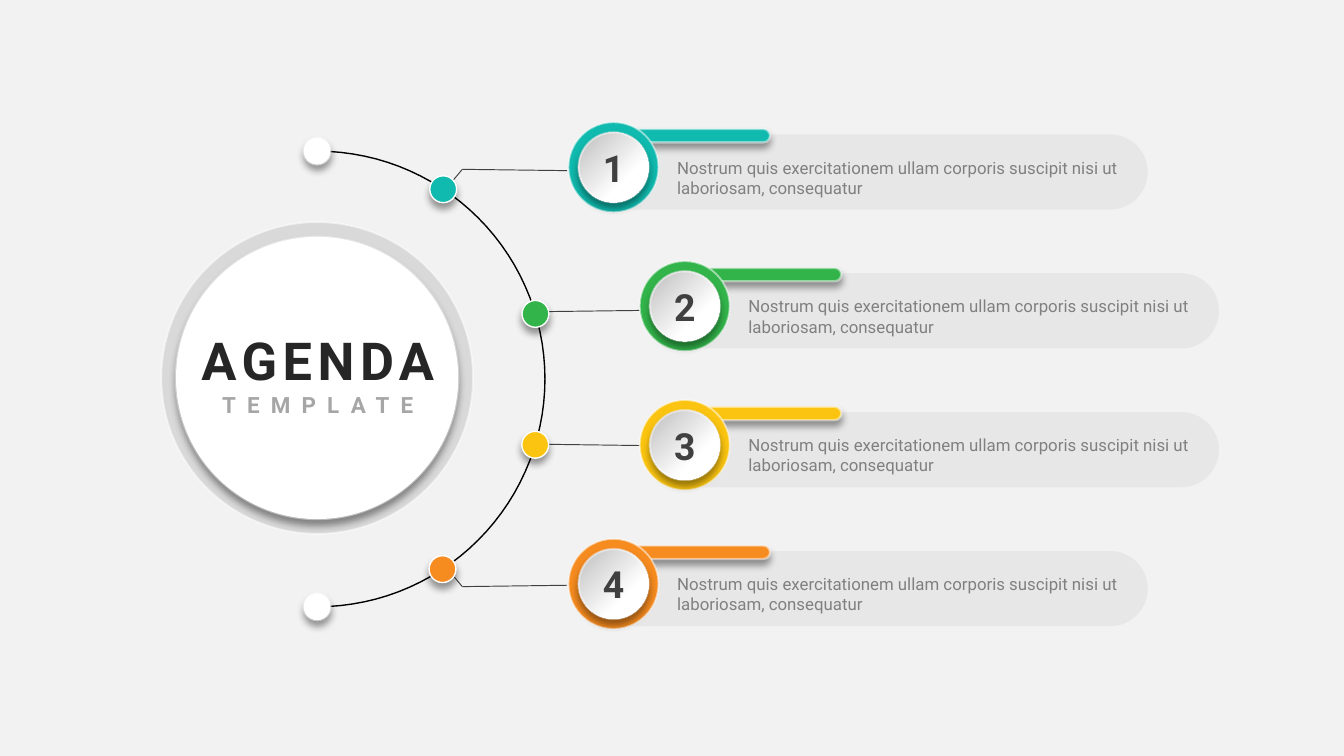
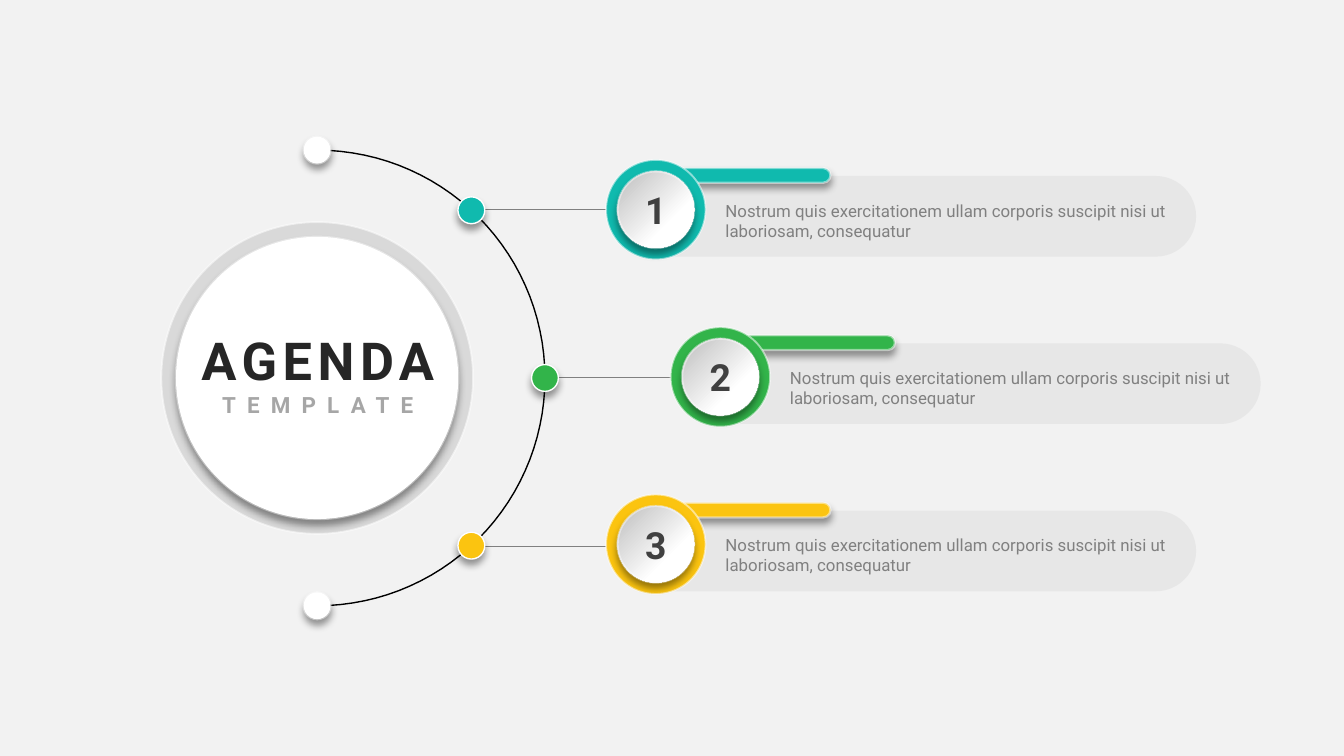
from dataclasses import dataclass
from math import cos, pi, radians, sin

from lxml.etree import SubElement
from pptx import Presentation
from pptx.dml.color import RGBColor
from pptx.enum.shapes import MSO_CONNECTOR as Link, MSO_SHAPE as Kind
from pptx.enum.text import MSO_ANCHOR as Anchor, MSO_AUTO_SIZE as Fit, PP_ALIGN as Align
from pptx.oxml.ns import qn
from pptx.util import Inches, Pt


@dataclass(frozen=True)
class Theme:
    font: str = "Roboto"
    back: str = "F2F2F2"
    white: str = "FFFFFF"
    black: str = "000000"
    rim: str = "D9D9D9"
    shade: str = "C7C7C7"
    title: str = "262626"
    sub: str = "A6A6A6"
    digit: str = "404040"
    note: str = "808080"
    accents: tuple = ("10BAAE", "32B44A", "FBC410", "F68B1F")
    big: int = 28
    mid: int = 20
    small: int = 12
    tiny: int = 9


@dataclass(frozen=True)
class Badge:
    """Sizes of one agenda item; boxes are relative to the ring's corner."""
    ring: float
    face: float
    pill: tuple
    bar: tuple
    note: tuple


@dataclass(frozen=True)
class Agenda:
    hub: tuple       # centre of the arc
    angles: tuple    # where the dots sit on the arc, in degrees
    lefts: tuple     # left edge of each ring
    top: float       # top of the first ring
    last: float      # top of the last ring
    badge: Badge
    leads: tuple     # points of each lead line
    ink: str


T = Theme()
W = 10
H = W * 9 / 16
MID = H / 2
RADIUS, DOT = 3.39 / 2, 0.2
NOTE = "Nostrum quis exercitationem ullam corporis suscipit nisi ut laboriosam, consequatur"


def rgb(code):
    return RGBColor.from_string(code)


def fade(node, pct):
    """Make the solid colour inside node partly transparent."""
    SubElement(node.find(".//" + qn("a:srgbClr")), qn("a:alpha"), val=str(pct * 1000))


def cast(shape):
    """Add the soft shadow that falls straight down."""
    fx = shape._element.spPr.find(qn("a:effectLst"))
    drop = SubElement(fx, qn("a:outerShdw"), blurRad=str(Pt(4)), dist=str(Pt(3)),
                      dir="5400000", algn="t", rotWithShape="0")
    SubElement(drop, qn("a:srgbClr"), val=T.black)
    fade(drop, 40)


def draw(slide, kind, box, fill, edge=0, alpha=100, lift=False):
    """Add a shape with a white edge of the given width and opacity."""
    shape = slide.shapes.add_shape(kind, *map(Inches, box))
    shape.shadow.inherit = False
    shape.fill.solid()
    shape.fill.fore_color.rgb = rgb(fill)
    if edge:
        shape.line.color.rgb = rgb(T.white)
        shape.line.width = Pt(edge)
        if alpha < 100:
            fade(shape._element.spPr.find(qn("a:ln")), alpha)
    else:
        shape.line.fill.background()
    if lift:
        cast(shape)
    return shape


def disc(slide, mid, size, *look, **more):
    x, y = mid
    return draw(slide, Kind.OVAL, (x - size / 2, y - size / 2, size, size), *look, **more)


def style(para, size, color, bold=False, align=None):
    para.alignment = align
    font = para.font
    font.name, font.size, font.bold = T.font, Pt(size), bold
    font.color.rgb = rgb(color)


def draw_arc(slide, hub):
    x, y = hub
    turns = [pi * i / 60 - pi / 2 for i in range(61)]
    spots = [(Inches(x + RADIUS * cos(t)), Inches(y + RADIUS * sin(t))) for t in turns]
    pen = slide.shapes.build_freeform(*spots[0])
    pen.add_line_segments(spots[1:], close=False)
    arc = pen.convert_to_shape()
    arc.shadow.inherit = False
    arc.fill.background()
    arc.line.color.rgb = rgb(T.black)
    arc.line.width = Pt(0.75)
    for end in (y - RADIUS, y + RADIUS):
        disc(slide, (x, end), DOT, T.white, 1.25, 42, lift=True)


def draw_hub(slide, mid):
    """Draw the big disc and set the slide title on it."""
    disc(slide, mid, 2.32, T.rim, 1, 52)
    plate = disc(slide, mid, 2.1, T.white, 1.25, 42, lift=True)
    title = slide.shapes.title
    plate._element.addnext(title._element)
    x, y = mid
    title.left, title.top = Inches(x - 1.19), Inches(y - 0.42)
    title.width, title.height = Inches(2.39), Inches(0.77)
    frame = title.text_frame
    frame.auto_size, frame.vertical_anchor = Fit.NONE, Anchor.TOP
    frame.word_wrap = True
    frame.text = "AGENDA\nTEMPLATE"
    looks = ((T.big, T.title, 3), (T.small, T.sub, 6))
    for para, (size, color, gap) in zip(frame.paragraphs, looks):
        style(para, size, color, True, Align.CENTER)
        para.runs[0]._r.get_or_add_rPr().set("spc", str(gap * 100))


def draw_lead(slide, spots, ink):
    for start, end in zip(spots, spots[1:]):
        link = slide.shapes.add_connector(Link.STRAIGHT, *map(Inches, start + end))
        link.line.color.rgb = rgb(ink)
        link.line.width = Pt(0.5)
        SubElement(link._element.spPr, qn("a:effectLst"))


def draw_badge(slide, x, y, badge, num, color):
    def place(box):
        return x + box[0], y + box[1], box[2], box[3]

    pill = draw(slide, Kind.ROUNDED_RECTANGLE, place(badge.pill), T.rim)
    fade(pill._element.spPr.find(qn("a:solidFill")), 42)
    bar = draw(slide, Kind.ROUNDED_RECTANGLE, place(badge.bar), color, 1.25, 48, lift=True)
    for shape in (pill, bar):
        shape.adjustments[0] = 0.5

    mid = x + badge.ring / 2, y + badge.ring / 2
    disc(slide, mid, badge.ring, color, 1, 52)
    face = disc(slide, mid, badge.face, T.white, 1.25, 42, lift=True)
    face.fill.gradient()
    face.fill.gradient_angle = 315
    for stop, spot, tone in zip(face.fill.gradient_stops, (0.09, 0.68), (T.shade, T.white)):
        stop.position, stop.color.rgb = spot, rgb(tone)
    frame = face.text_frame
    frame.margin_left = frame.margin_right = frame.margin_top = frame.margin_bottom = 0
    frame.word_wrap, frame.vertical_anchor = False, Anchor.MIDDLE
    frame.text = str(num)
    style(frame.paragraphs[0], T.mid, T.digit, True, Align.CENTER)

    frame = slide.shapes.add_textbox(*map(Inches, place(badge.note))).text_frame
    frame.margin_left = frame.margin_right = Inches(0.1)
    frame.margin_top = frame.margin_bottom = Inches(0.1)
    frame.word_wrap = True
    frame.text = NOTE
    style(frame.paragraphs[0], T.tiny, T.note)


def add_agenda(prs, plan):
    slide = prs.slides.add_slide(prs.slide_layouts[5])
    draw_arc(slide, plan.hub)
    draw_hub(slide, (2.36, MID))
    x, y = plan.hub
    step = (plan.last - plan.top) / (len(plan.lefts) - 1)
    rows = zip(plan.angles, plan.lefts, plan.leads, T.accents)
    for i, (angle, left, lead, color) in enumerate(rows):
        turn = radians(angle)
        draw_lead(slide, lead, plan.ink)
        dot = x + RADIUS * cos(turn), y + RADIUS * sin(turn)
        disc(slide, dot, DOT, color, 0.75, lift=True)
        draw_badge(slide, left, plan.top + i * step, plan.badge, i + 1, color)


def flip(lead):
    """Mirror a lead line about the middle of the slide."""
    return [(x, H - y) for x, y in lead]


def main():
    prs = Presentation()
    prs.slide_width, prs.slide_height = Inches(W), Inches(H)
    fill = prs.slide_master.background.fill
    fill.solid()
    fill.fore_color.rgb = rgb(T.back)

    bent = [(3.29, 1.44), (3.44, 1.26), (4.22, 1.27)]
    flat = [(3.98, 2.32), (4.76, 2.31)]
    add_agenda(prs, Agenda(
        hub=(2.36, 2.82), angles=(-56.4, -16.6, 16.8, 56.6),
        lefts=(4.23, 4.76, 4.76, 4.23), top=0.91, last=4.01,
        badge=Badge(0.67, 0.52, (0.07, 0.09, 4.24, 0.56),
                    (0.28, 0.05, 1.22, 0.1), (0.71, 0.16, 3.57, 0.54)),
        leads=(bent, flat, flip(flat), flip(bent)), ink=T.digit))

    side = [(3.53, 1.56), (4.58, 1.56)]
    add_agenda(prs, Agenda(
        hub=(2.36, MID), angles=(-47.4, 0, 47.4),
        lefts=(4.51, 4.99, 4.51), top=1.19, last=3.68,
        badge=Badge(0.74, 0.57, (0.15, 0.12, 4.24, 0.6),
                    (0.31, 0.06, 1.36, 0.11), (0.79, 0.2, 3.57, 0.54)),
        leads=(side, [(4.06, MID), (5.11, MID)], flip(side)), ink=T.note))
    prs.save("out.pptx")


if __name__ == "__main__":
    main()
